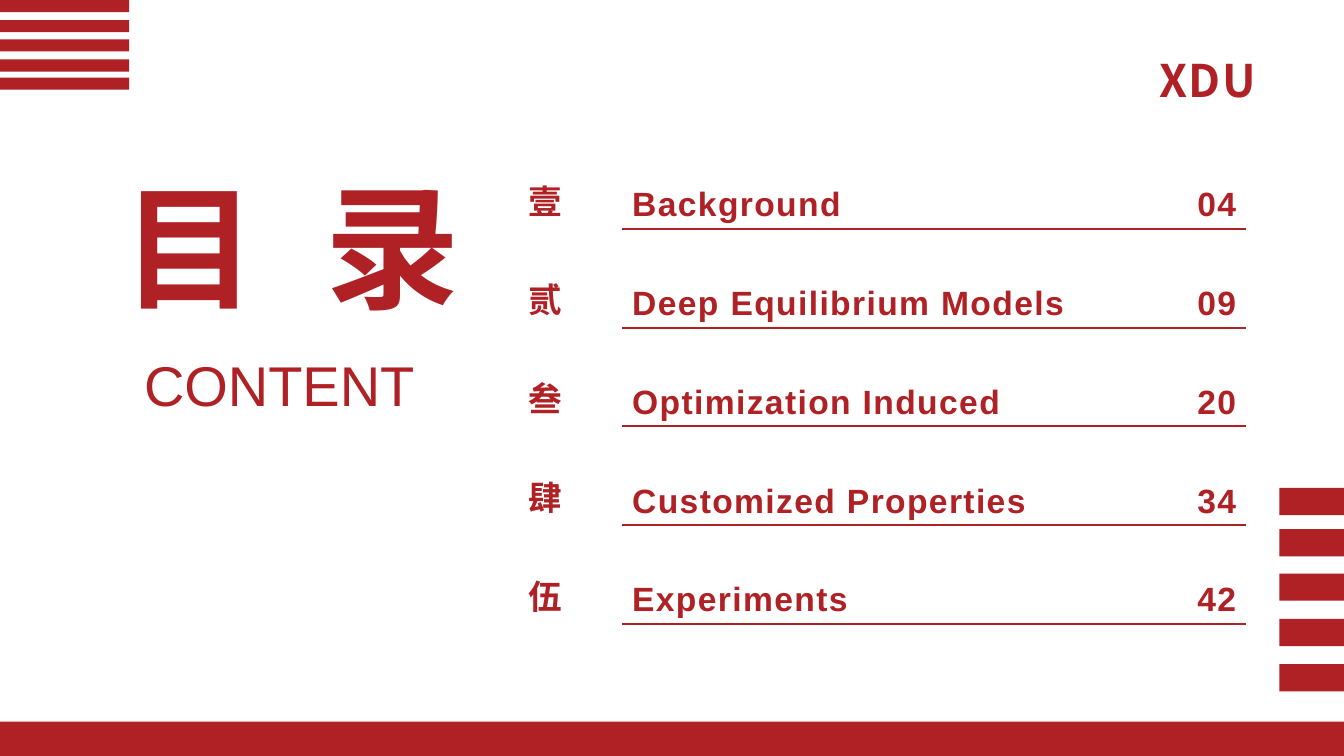
"""Build the contents slide of a red themed university presentation."""
from dataclasses import dataclass

import lxml.etree
import pptx
import pptx.dml.color
import pptx.enum.shapes
import pptx.enum.text
import pptx.oxml.ns
import pptx.util

Inches = pptx.util.Inches
Align = pptx.enum.text.PP_ALIGN


@dataclass(frozen=True)
class Theme:
    red: str = "AF2125"
    font: str = "Arial"
    brand_font: str = "Noto Sans CJK SC"
    title_size: int = 96
    subtitle_size: int = 40
    brand_size: int = 32
    entry_size: int = 24
    rule_width: float = 1.5


@dataclass(frozen=True)
class Style:
    size: int
    bold: bool = True
    font: str = "Arial"
    align: Align = Align.JUSTIFY
    line_spacing: float = 1.0
    tracking: float = 0


@dataclass(frozen=True)
class Label:
    text: str
    box: tuple[float, float, float, float]
    style: Style
    wrap: bool = False


@dataclass(frozen=True)
class Chapter:
    numeral: str
    title: str
    page: str


@dataclass(frozen=True)
class Stripes:
    left: float
    width: float
    height: float
    tops: tuple[float, ...]


THEME = Theme()
RED = pptx.dml.color.RGBColor.from_string(THEME.red)
TITLE_GAP = 26.7

TITLE = Label("目 录", (1.12, 1.58, 3.69, 1.72), Style(THEME.title_size, align=Align.LEFT))
LABELS = (
    Label("XDU", (11.4, 0.31, 1.26, 0.73),
          Style(THEME.brand_size, font=THEME.brand_font, line_spacing=1.3, tracking=1)),
    Label("CONTENT", (1.33, 3.43, 3.35, 0.77), Style(THEME.subtitle_size, bold=False), wrap=True),
)
CHAPTERS = (
    Chapter("壹", "Background", "04"),
    Chapter("贰", "Deep Equilibrium Models", "09"),
    Chapter("叁", "Optimization Induced", "20"),
    Chapter("肆", "Customized Properties", "34"),
    Chapter("伍", "Experiments", "42"),
)
COLUMN_WIDTHS = (1.03, 4.86, 1.33)
ROW_HEIGHT = 0.98
COLUMN_STYLES = (
    Style(THEME.entry_size, line_spacing=1.5, tracking=1),
    Style(THEME.entry_size, line_spacing=1.3, tracking=1),
    Style(THEME.entry_size, align=Align.RIGHT, tracking=1),
)
STRIPES = (
    Stripes(0, 13.33, 0.34, (7.16,)),
    Stripes(0, 1.28, 0.12, (0, 0.2, 0.39, 0.59, 0.77)),
    Stripes(12.69, 0.64, 0.27, (6.59, 6.14, 5.69, 5.25, 4.84)),
)


def set_tracking(run, points: float) -> None:
    """Set the letter spacing of a run in points."""
    run.font._element.set("spc", str(round(points * 100)))


def write(frame, pieces: list[tuple[str, float]], style: Style) -> None:
    """Write pieces of text, each with its tracking, in one paragraph."""
    paragraph = frame.paragraphs[0]
    paragraph.alignment = style.align
    paragraph.line_spacing = style.line_spacing
    paragraph.font.size = pptx.util.Pt(style.size)
    paragraph.font.bold = style.bold
    paragraph.font.name = style.font
    paragraph.font.color.rgb = RED
    for text, tracking in pieces:
        run = paragraph.add_run()
        run.text = text
        if tracking:
            set_tracking(run, tracking)


def add_label(slide, label: Label, pieces: list[tuple[str, float]]) -> None:
    """Add a text box holding one label."""
    frame = slide.shapes.add_textbox(*map(Inches, label.box)).text_frame
    frame.word_wrap = label.wrap
    write(frame, pieces, label.style)


def add_stripes(slide, stripes: Stripes) -> None:
    """Add a stack of solid bars."""
    for top in stripes.tops:
        shape = slide.shapes.add_shape(
            pptx.enum.shapes.MSO_SHAPE.RECTANGLE, Inches(stripes.left), Inches(top),
            Inches(stripes.width), Inches(stripes.height))
        shape.shadow.inherit = False
        shape.fill.solid()
        shape.fill.fore_color.rgb = RED
        shape.line.fill.background()


def set_borders(cell, ruled_sides: str) -> None:
    """Rule the given sides of a cell and clear the others."""
    properties = cell._tc.get_or_add_tcPr()
    qualified = pptx.oxml.ns.qn
    for index, side in enumerate("LRTB"):
        line = lxml.etree.Element(qualified(f"a:ln{side}"))
        if side in ruled_sides:
            line.set("w", str(pptx.util.Pt(THEME.rule_width)))
            fill = lxml.etree.SubElement(line, qualified("a:solidFill"))
            lxml.etree.SubElement(fill, qualified("a:srgbClr"), val=THEME.red)
        else:
            lxml.etree.SubElement(line, qualified("a:noFill"))
        properties.insert(index, line)


def add_contents_table(slide, chapters: tuple[Chapter, ...]) -> None:
    """Add the table of chapters with a rule under each entry."""
    table = slide.shapes.add_table(
        len(chapters), len(COLUMN_WIDTHS), Inches(5.14), Inches(1.29),
        Inches(sum(COLUMN_WIDTHS)), Inches(ROW_HEIGHT * len(chapters))).table
    table.first_row = False
    table.horz_banding = False
    for column, width in zip(table.columns, COLUMN_WIDTHS):
        column.width = Inches(width)
    for row_index, chapter in enumerate(chapters):
        table.rows[row_index].height = Inches(ROW_HEIGHT)
        texts = (chapter.numeral, chapter.title, chapter.page)
        for column_index, (text, style) in enumerate(zip(texts, COLUMN_STYLES)):
            cell = table.cell(row_index, column_index)
            cell.fill.background()
            cell.vertical_anchor = pptx.enum.text.MSO_ANCHOR.BOTTOM
            write(cell.text_frame, [(text, style.tracking)], style)
            ruled_sides = "" if column_index == 0 else "B" if row_index == 0 else "TB"
            set_borders(cell, ruled_sides)


def main() -> None:
    """Build and save the presentation."""
    presentation = pptx.Presentation()
    presentation.slide_width = Inches(13.33)
    presentation.slide_height = Inches(7.5)
    slide = presentation.slides.add_slide(presentation.slide_layouts[6])
    for label in LABELS:
        add_label(slide, label, [(label.text, label.style.tracking)])
    first, space, last = TITLE.text
    add_label(slide, TITLE, [(first, 0), (space, TITLE_GAP), (last, 0)])
    add_contents_table(slide, CHAPTERS)
    for stripes in STRIPES:
        add_stripes(slide, stripes)
    presentation.save("out.pptx")


if __name__ == "__main__":
    main()
